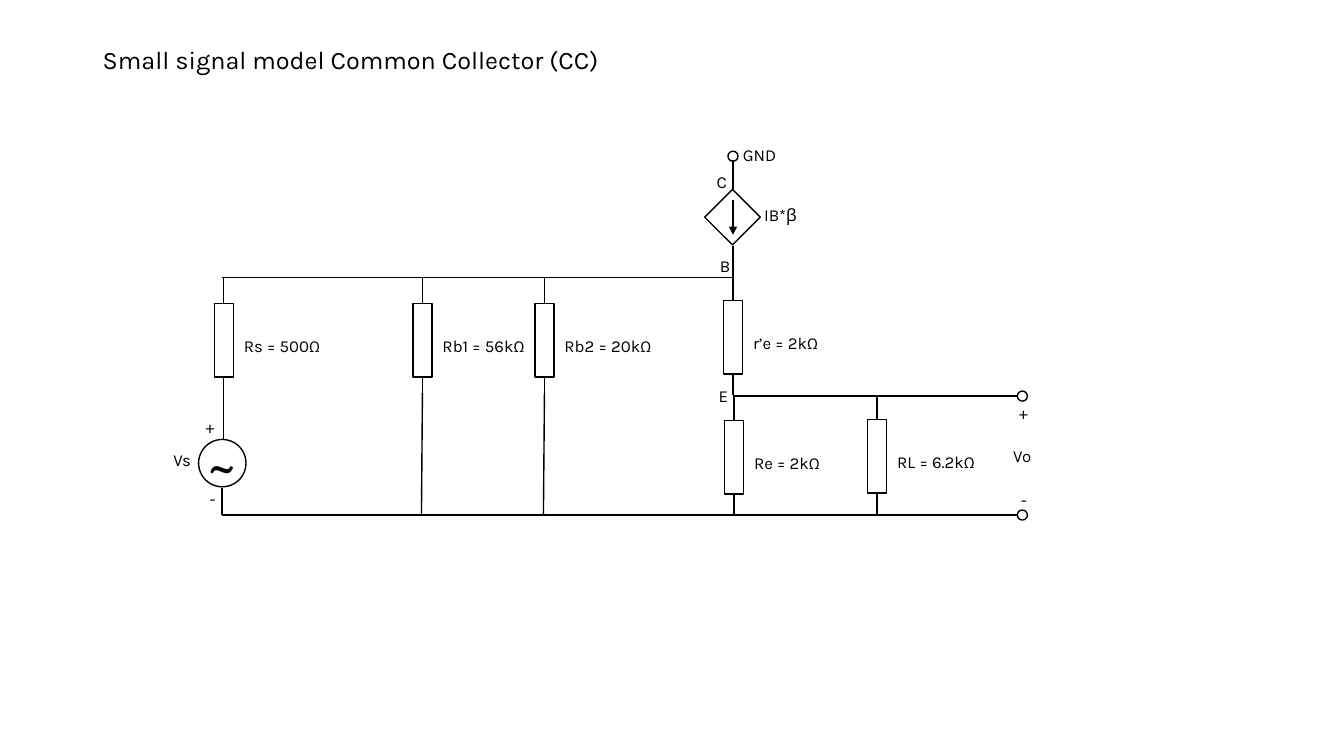
from dataclasses import dataclass

from lxml.etree import SubElement
from pptx import Presentation
from pptx.dml.color import RGBColor
from pptx.enum.shapes import MSO_CONNECTOR, MSO_SHAPE
from pptx.enum.text import MSO_ANCHOR, MSO_AUTO_SIZE
from pptx.oxml.ns import qn
from pptx.util import Inches, Pt


@dataclass(frozen=True)
class Theme:
    """Colours, font and sizes of the slide."""
    ink: RGBColor = RGBColor(0, 0, 0)
    paper: RGBColor = RGBColor(255, 255, 255)
    font: str = "Karla"
    title: int = 18
    label: int = 12
    wave: int = 40
    stroke: int = 1


THEME = Theme()
BODY_LENGTH, BODY_WIDTH, BOTTOM_LEAD = 0.73, 0.19, 0.21
TERMINAL = 0.1


def add_label(s, x, y, w, text, h=0.3, size=THEME.label):
    """Add a text box and return its text frame."""
    tf = s.shapes.add_textbox(Inches(x), Inches(y), Inches(w), Inches(h)).text_frame
    tf.word_wrap = True
    tf.auto_size = MSO_AUTO_SIZE.SHAPE_TO_FIT_TEXT
    tf.text = text
    font = tf.paragraphs[0].runs[0].font
    font.name, font.size, font.color.rgb = THEME.font, Pt(size), THEME.ink
    return tf


def add_wire(s, x1, y1, x2, y2, arrow=False):
    """Add a straight wire, with an arrowhead at its end if asked."""
    wire = s.shapes.add_connector(
        MSO_CONNECTOR.STRAIGHT, Inches(x1), Inches(y1), Inches(x2), Inches(y2))
    wire.line.color.rgb, wire.line.width = THEME.ink, Pt(THEME.stroke)
    if arrow:
        SubElement(wire.line._get_or_add_ln(), qn("a:tailEnd"), type="triangle")
    SubElement(wire._element.spPr, qn("a:effectLst"))


def add_outline(s, kind, x, y, w, h, rotation=0):
    """Add an unfilled outlined shape."""
    sp = s.shapes.add_shape(kind, Inches(x), Inches(y), Inches(w), Inches(h))
    sp.shadow.inherit = False
    sp.fill.background()
    sp.line.color.rgb, sp.line.width = THEME.ink, Pt(THEME.stroke)
    sp.rotation = rotation


def add_terminal(s, x, y):
    """Add a terminal ring centred on a point."""
    add_outline(s, MSO_SHAPE.FLOWCHART_CONNECTOR,
                x - TERMINAL / 2, y - TERMINAL / 2, TERMINAL, TERMINAL)


def add_resistor(s, x, top, bottom, text):
    """Add a vertical resistor with its leads and value."""
    body_bottom = bottom - BOTTOM_LEAD
    middle = body_bottom - BODY_LENGTH / 2
    add_outline(s, MSO_SHAPE.RECTANGLE, x - BODY_LENGTH / 2, middle - BODY_WIDTH / 2,
                BODY_LENGTH, BODY_WIDTH, 90)
    add_wire(s, x, body_bottom, x, bottom)
    add_wire(s, x, top, x, body_bottom - BODY_LENGTH)
    add_label(s, x + 0.1, middle - 0.09, 1.12, text)


def add_title(s, x, y, w, h):
    """Add the slide title."""
    tf = add_label(s, x, y, w, "Small signal model Common Collector (CC)", h, THEME.title)
    tf.auto_size = MSO_AUTO_SIZE.NONE
    tf.vertical_anchor = MSO_ANCHOR.MIDDLE
    tf.paragraphs[0].line_spacing = 0.9


def add_source(s, x, y, h):
    """Add the signal source branch below the top rail."""
    add_resistor(s, x, y, y + 1.2, "Rs = 500Ω")
    add_wire(s, x, y + 1.02, x, y + 1.61)
    add_outline(s, MSO_SHAPE.FLOWCHART_CONNECTOR, x - 0.25, y + 1.61, 0.47, 0.47)
    add_wire(s, x - 0.02, y + 2.09, x - 0.02, y + h)
    add_label(s, x - 0.6, y + 1.66, 0.49, "Vs", 0.5)
    add_label(s, x - 0.26, y + 1.47, 0.44, "~", 0.77, THEME.wave)
    add_label(s, x - 0.28, y + 1.34, 0.28, "+")
    add_label(s, x - 0.24, y + 2.05, 0.27, "-")


def add_bias(s, x, y, h):
    """Add the two bias resistors between the rails."""
    for offset, text in ((0, "Rb1 = 56kΩ"), (1.21, "Rb2 = 20kΩ")):
        add_resistor(s, x + offset, y, y + 1.2, text)
        add_wire(s, x + offset, y + 1.15, x + offset - 0.01, y + h)


def add_transistor(s, x, y):
    """Add the collector branch and the emitter resistors."""
    add_terminal(s, x, y)
    add_wire(s, x, y + 0.04, x, y + 0.33)
    add_outline(s, MSO_SHAPE.RECTANGLE, x - 0.2, y + 0.41, 0.39, 0.39, 45)
    add_wire(s, x, y + 0.43, x, y + 0.78, arrow=True)
    add_wire(s, x, y + 0.89, x, y + 1.19)
    add_resistor(s, x, y + 1.17, y + 2.37, "r’e = 2kΩ")
    add_resistor(s, x + 0.01, y + 2.37, y + 3.56, "Re = 2kΩ")
    add_label(s, x, y - 0.16, 0.58, "GND")
    add_label(s, x + 0.21, y + 0.43, 0.88, "IB*β")
    for text, dx, dy in (("C", -0.26, 0.1), ("B", -0.23, 0.94), ("E", -0.24, 2.23)):
        add_label(s, x + dx, y + dy, 0.31, text)


def add_output(s, x, y, w, h):
    """Add the load and the output terminals."""
    end = x + w
    add_wire(s, x, y, end, y)
    add_resistor(s, x + 1.41, y + 0.01, y + h - 0.01, "RL = 6.2kΩ")
    for terminal_y in (y, y + h):
        add_terminal(s, end + 0.05, terminal_y)
    for text, dx, dy, width in (("+", -0.08, 0.02, 0.28), ("Vo", -0.14, 0.44, 0.39),
                                ("-", -0.06, 0.88, 0.27)):
        add_label(s, end + dx, y + dy, width, text)


def add_circuit(s, x, y, w, h):
    """Place the stages of the circuit around its two rails."""
    collector = x + 5.07
    add_wire(s, x, y, collector, y)
    add_wire(s, x, y + h, x + w, y + h)
    add_source(s, x + 0.02, y, h)
    add_bias(s, x + 1.99, y, h)
    add_transistor(s, collector, y - 1.2)
    add_output(s, x + 5.09, y + 1.18, w - 5.09, h - 1.18)


def main():
    """Build and save the presentation."""
    prs = Presentation()
    prs.slide_width, prs.slide_height = Inches(13.33), Inches(7.5)
    s = prs.slides.add_slide(prs.slide_layouts[6])
    s.background.fill.solid()
    s.background.fill.fore_color.rgb = THEME.paper
    add_title(s, 0.92, 0.4, 11.5, 0.41)
    add_circuit(s, 2.2, 2.75, 7.89, 2.36)
    prs.save("out.pptx")


if __name__ == "__main__":
    main()
